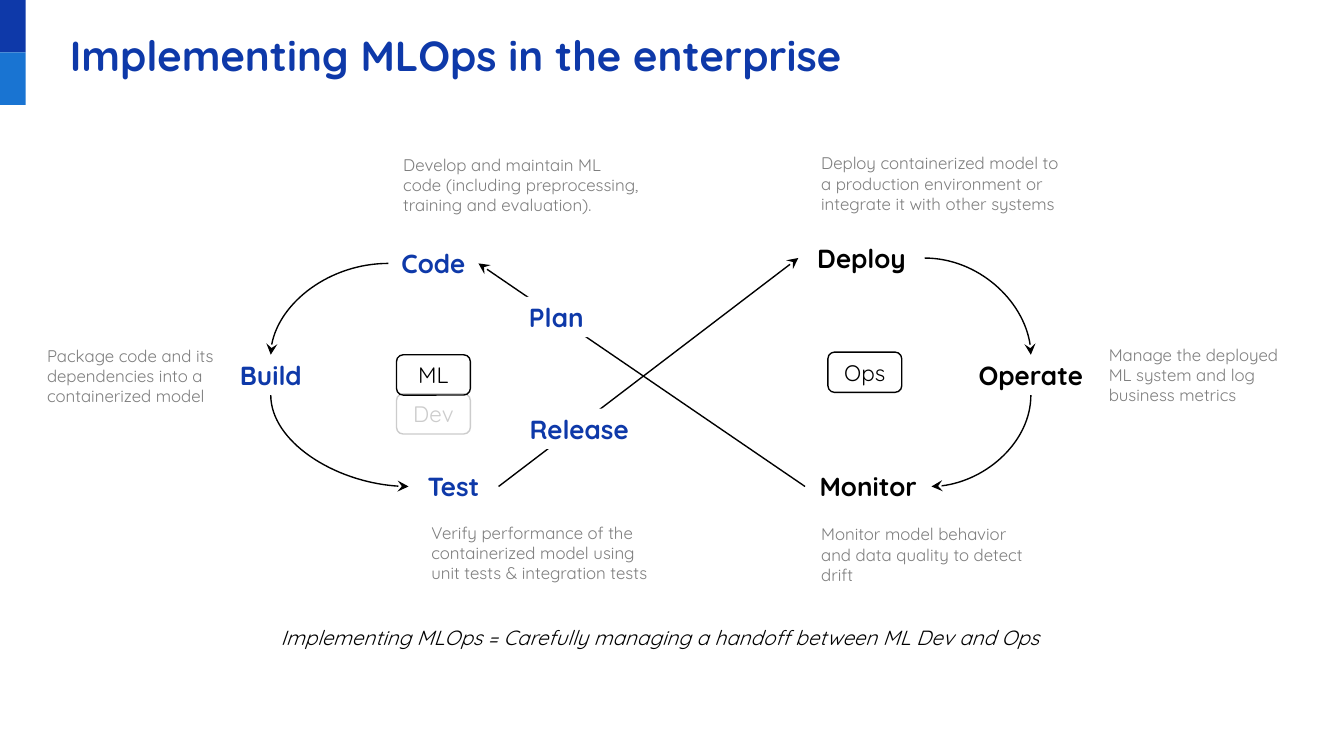
from pptx import Presentation
from pptx.dml.color import RGBColor
from pptx.enum.shapes import MSO_CONNECTOR as LINK, MSO_SHAPE as SHAPE
from pptx.enum.text import MSO_ANCHOR as ANCHOR, PP_ALIGN as ALIGN
from pptx.oxml.ns import qn
from pptx.util import Inches, Pt
from lxml.etree import SubElement

COLORS = {
    "navy": "0E39A9", "blue": "1974D2", "black": "000000",
    "white": "FFFFFF", "gray": "7E7E7E", "light": "CCCCCC",
}
TOP, LEFT, BOTTOM, RIGHT = range(4)


def rgb(name):
    """Return the named colour."""
    return RGBColor.from_string(COLORS[name])


def write(shape, text, size=9, color="gray", bold=False, italic=False,
          align=ALIGN.LEFT, anchor=ANCHOR.MIDDLE, inset=0.08):
    """Put formatted text into a shape."""
    frame = shape.text_frame
    frame.word_wrap = True
    frame.vertical_anchor = anchor
    frame.margin_left = frame.margin_right = Inches(inset)
    frame.margin_top = frame.margin_bottom = Inches(inset)
    paragraph = frame.paragraphs[0]
    paragraph.alignment = align
    run = paragraph.add_run()
    run.text = text
    run.font.name = "Quicksand"
    run.font.size = Pt(size)
    run.font.bold = bold
    run.font.italic = italic
    run.font.color.rgb = rgb(color)


def side_point(shape, side):
    """Return the middle of one side of a shape."""
    middle_x = shape.left + shape.width // 2
    middle_y = shape.top + shape.height // 2
    return {
        TOP: (middle_x, shape.top),
        LEFT: (shape.left, middle_y),
        BOTTOM: (middle_x, shape.top + shape.height),
        RIGHT: (shape.left + shape.width, middle_y),
    }[side]


class LoopSlide:
    """Draws the parts of the loop diagram in one style."""

    def __init__(self, slide):
        self.shapes = slide.shapes

    def block(self, box, fill=None, line=None, kind=SHAPE.RECTANGLE):
        """Add a plain shape."""
        block = self.shapes.add_shape(kind, *map(Inches, box))
        block.shadow.inherit = False
        if fill:
            block.fill.solid()
            block.fill.fore_color.rgb = rgb(fill)
        else:
            block.fill.background()
        if line:
            block.line.color.rgb = rgb(line)
            block.line.width = Pt(0.75)
        else:
            block.line.fill.background()
        return block

    def text(self, text, box, **style):
        """Add a text box."""
        write(self.shapes.add_textbox(*map(Inches, box)), text, **style)

    def step(self, text, left, top, width, color):
        """Add a step of the loop."""
        step = self.block((left, top, width, 0.3), "white")
        write(step, text, size=14, color=color, bold=True, align=ALIGN.CENTER, inset=0.07)
        return step

    def badge(self, text, left, top, color="black", fill="white"):
        """Add a rounded team label."""
        badge = self.block((left, top, 0.55, 0.3), fill, color, SHAPE.ROUNDED_RECTANGLE)
        write(badge, text, size=12, color=color, align=ALIGN.CENTER, inset=0.1)

    def arrow(self, kind, start, end):
        """Add a thin line with a stealth head."""
        arrow = self.shapes.add_connector(kind, *start, *end)
        arrow.line.color.rgb = rgb("black")
        arrow.line.width = Pt(0.75)
        properties = arrow._element.spPr
        SubElement(properties.find(qn("a:ln")), qn("a:tailEnd"), type="stealth")
        SubElement(properties, qn("a:effectLst"))
        return arrow

    def straight(self, source, source_side, target, target_side):
        """Join two steps with a straight arrow."""
        arrow = self.arrow(LINK.STRAIGHT, side_point(source, source_side),
                           side_point(target, target_side))
        arrow.begin_connect(source, source_side)
        arrow.end_connect(target, target_side)

    def curve(self, source, source_side, target, target_side):
        """Draw a quarter turn, rotated when it leaves vertically."""
        (x1, y1), (x2, y2) = start, end = (side_point(source, source_side),
                                           side_point(target, target_side))
        rotation = 0
        if source_side == BOTTOM:
            center_x, center_y = (x1 + x2) // 2, (y1 + y2) // 2
            half_width, half_height = (y2 - y1) // 2, abs(x2 - x1) // 2
            rotation = 270 if x2 > x1 else 90
            if rotation == 90:
                half_width = -half_width
            start = center_x + half_width, center_y - half_height
            end = center_x - half_width, center_y + half_height
        properties = self.arrow(LINK.CURVE, start, end)._element.spPr
        properties.find(qn("a:prstGeom")).set("prst", "curvedConnector2")
        if rotation:
            properties.find(qn("a:xfrm")).set("rot", str(rotation * 60000))


def main():
    """Build and save the slide."""
    deck = Presentation()
    deck.slide_width = Inches(10)
    deck.slide_height = deck.slide_width * 9 // 16
    loop = LoopSlide(deck.slides.add_slide(deck.slide_layouts[6]))

    for row, color in enumerate(("navy", "blue")):
        loop.block((0, row * 0.39, 0.19, 0.39), color)
    loop.badge("Dev", 2.95, 2.93, color="light")
    loop.text("Implementing MLOps in the enterprise", (0.51, 0.21, 8.98, 0.41),
              size=22.5, color="navy", bold=True, anchor=ANCHOR.TOP, inset=0.01)

    code = loop.step("Code", 2.89, 1.81, 0.67, "navy")
    build = loop.step("Build", 1.68, 2.64, 0.67, "navy")
    test = loop.step("Test", 3.04, 3.47, 0.67, "navy")
    deploy = loop.step("Deploy", 5.94, 1.77, 0.94, "black")
    operate = loop.step("Operate", 7.2, 2.64, 0.94, "black")
    monitor = loop.step("Monitor", 5.99, 3.47, 0.94, "black")

    loop.straight(monitor, LEFT, code, RIGHT)
    loop.curve(code, LEFT, build, TOP)
    loop.curve(build, BOTTOM, test, LEFT)
    loop.curve(deploy, RIGHT, operate, TOP)
    loop.curve(operate, BOTTOM, monitor, RIGHT)
    loop.straight(test, RIGHT, deploy, LEFT)

    loop.step("Release", 3.84, 3.04, 0.94, "navy")
    loop.step("Plan", 3.84, 2.21, 0.6, "navy")

    notes = (
        ("Package code and its dependencies into a containerized model",
         (0.27, 2.54, 1.49, 0.51)),
        ("Verify performance of the containerized model using unit tests & integration tests",
         (3.13, 3.86, 1.87, 0.51)),
        ("Develop and maintain ML code (including preprocessing, training and evaluation).",
         (2.92, 1.15, 1.94, 0.45)),
        ("Monitor model behavior and data quality to detect drift",
         (6.03, 3.9, 1.68, 0.45)),
        ("Manage the deployed ML system and log business metrics",
         (8.17, 2.51, 1.49, 0.56)),
        ("Deploy containerized model to a production environment or integrate it with other systems",
         (6.03, 1.13, 1.94, 0.47)),
    )
    for note, box in notes:
        loop.text(note, box)

    loop.badge("ML", 2.95, 2.64, fill=None)
    loop.badge("Ops", 6.16, 2.62)
    loop.text("Implementing MLOps = Carefully managing a handoff between ML Dev and Ops",
              (1.99, 4.56, 6.02, 0.39), size=11, color="black", italic=True,
              anchor=ANCHOR.TOP, inset=0.1)

    deck.save("out.pptx")


if __name__ == "__main__":
    main()
